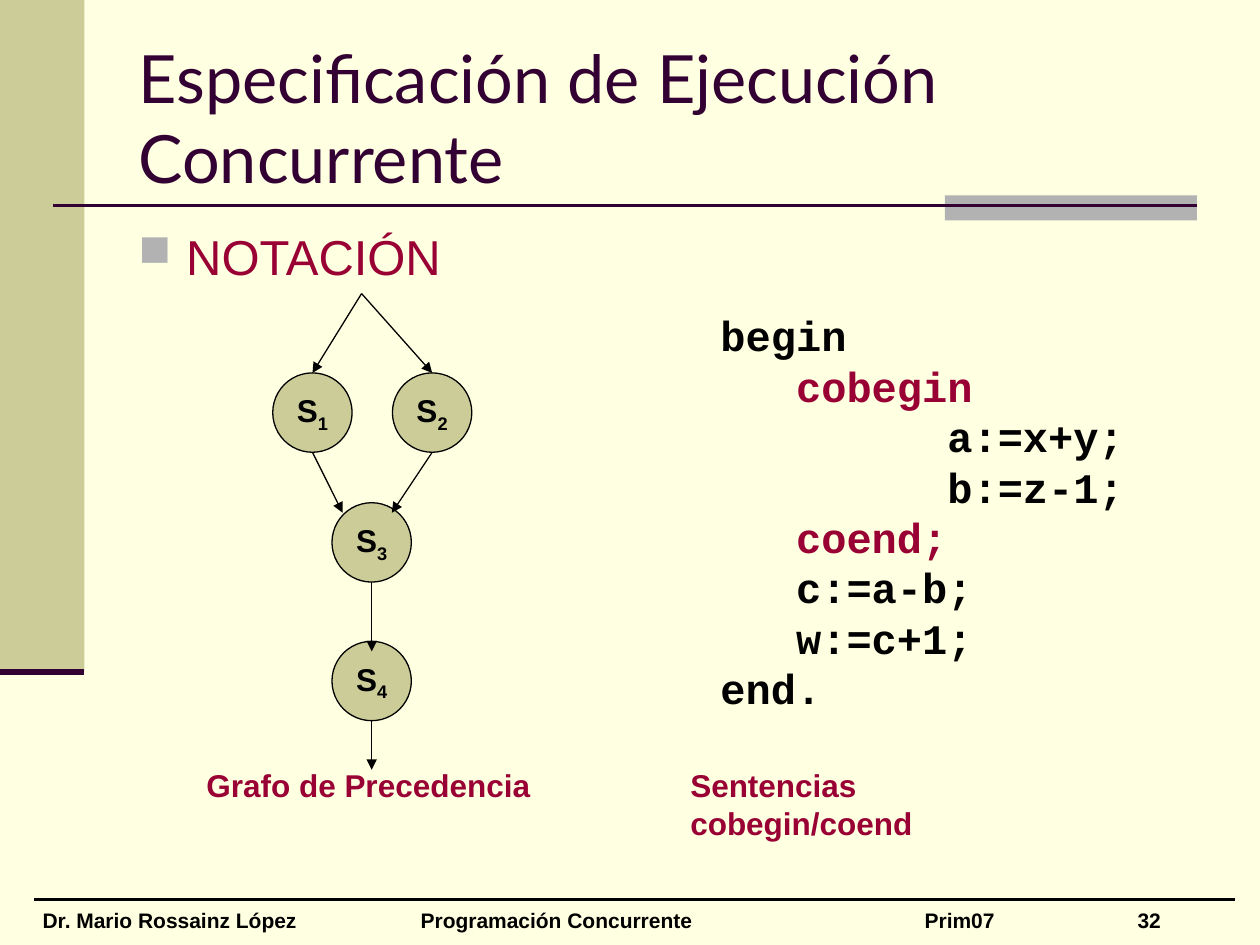
from dataclasses import dataclass

from lxml.etree import SubElement
from pptx import Presentation
from pptx.dml.color import RGBColor
from pptx.enum.shapes import MSO_CONNECTOR, MSO_SHAPE
from pptx.enum.text import MSO_ANCHOR, PP_ALIGN
from pptx.oxml.ns import qn
from pptx.util import Inches, Pt


@dataclass(frozen=True)
class Theme:
    paper: RGBColor = RGBColor.from_string("FFFFE1")
    olive: RGBColor = RGBColor.from_string("CCCC99")
    gray: RGBColor = RGBColor.from_string("B2B2B2")
    plum: RGBColor = RGBColor.from_string("330033")
    crimson: RGBColor = RGBColor.from_string("990033")
    ink: RGBColor = RGBColor.from_string("000000")
    title: int = 38
    topic: int = 28
    code: int = 24
    label: int = 18
    footer: int = 12


THEME = Theme()

prs = Presentation()
prs.slide_width, prs.slide_height = Inches(10), Inches(7.5)
slide = prs.slides.add_slide(prs.slide_layouts[6])
slide.background.fill.solid()
slide.background.fill.fore_color.rgb = THEME.paper


def add_line(start, end, color, width, arrow=False):
    line = slide.shapes.add_connector(
        MSO_CONNECTOR.STRAIGHT, *(Inches(v) for v in (*start, *end)))
    line.line.color.rgb = color
    line.line.width = Pt(width)
    if arrow:
        SubElement(line.line._get_or_add_ln(), qn("a:tailEnd"), type="triangle")
    SubElement(line._element.spPr, qn("a:effectLst"))


def add_text(box, content, size, color, font="Arial", bold=True, wrap=False):
    """Add a text box; content is a list of lines, each a list of (text, color) or texts."""
    frame = slide.shapes.add_textbox(*(Inches(v) for v in box)).text_frame
    frame.word_wrap = wrap
    for index, pieces in enumerate(content):
        paragraph = frame.paragraphs[0] if index == 0 else frame.add_paragraph()
        for piece in pieces:
            text, piece_color = piece if isinstance(piece, tuple) else (piece, color)
            run = paragraph.add_run()
            run.text = text
            run.font.name = font
            run.font.size = Pt(size)
            run.font.bold = bold
            run.font.color.rgb = piece_color
    return frame


# Side band, title accent and rules
for box, color in (((0, 0, 0.67, 5.33), THEME.olive), ((7.5, 1.55, 2, 0.2), THEME.gray)):
    block = slide.shapes.add_shape(MSO_SHAPE.RECTANGLE, *(Inches(v) for v in box))
    block.shadow.inherit = False
    block.fill.solid()
    block.fill.fore_color.rgb = color
    block.line.fill.background()
add_line((0.42, 1.63), (9.5, 1.63), THEME.plum, 1.5)
add_line((0, 5.33), (0.67, 5.33), THEME.plum, 3.5)

# Footer
footer = add_text(
    (0.24, 7.15, 9.7, 0.3),
    [["Dr. Mario Rossainz López\tProgramación Concurrente\tPrim07\t32"]],
    THEME.footer, THEME.ink)
footer_tabs = SubElement(footer.paragraphs[0]._p.get_or_add_pPr(), qn("a:tabLst"))
for stop in (3, 7, 8.69):
    SubElement(footer_tabs, qn("a:tab"), pos=str(Inches(stop)), algn="l")
add_line((0.27, 7.14), (9.8, 7.14), THEME.ink, 1.5)

# Title and topic
title = add_text((1, 0.3, 8.5, 1.25), [["Especificación de Ejecución Concurrente"]],
                 THEME.title, THEME.plum, font="Lato", bold=False, wrap=True)
title.vertical_anchor = MSO_ANCHOR.MIDDLE

topic = add_text((1, 1.75, 8.5, 4.95), [["NOTACIÓN"]],
                 THEME.topic, THEME.crimson, bold=False, wrap=True)
topic_format = topic.paragraphs[0]._p.get_or_add_pPr()
topic_format.set("marL", str(Inches(0.38)))
topic_format.set("indent", str(-Inches(0.38)))
bullet_color = SubElement(topic_format, qn("a:buClr"))
SubElement(bullet_color, qn("a:srgbClr"), val=str(THEME.gray))
SubElement(topic_format, qn("a:buSzPct"), val="90000")
SubElement(topic_format, qn("a:buChar"), char="■")

# Precedence graph
DIAMETER = 0.63
left_x, middle_x, right_x = 2.48, 2.95, 3.43
fork_y, s3_top, s4_top = 2.96, 3.99, 5.09
nodes = ((left_x, fork_y), (right_x, fork_y), (middle_x, s3_top), (middle_x, s4_top))
for number, (center_x, top) in enumerate(nodes, start=1):
    node = slide.shapes.add_shape(
        MSO_SHAPE.OVAL, Inches(center_x - DIAMETER / 2), Inches(top),
        Inches(DIAMETER), Inches(DIAMETER))
    node.shadow.inherit = False
    node.fill.solid()
    node.fill.fore_color.rgb = THEME.olive
    node.line.color.rgb = THEME.ink
    node.line.width = Pt(0.75)
    node.text_frame.word_wrap = False
    node.text_frame.vertical_anchor = MSO_ANCHOR.MIDDLE
    name = node.text_frame.paragraphs[0]
    name.alignment = PP_ALIGN.CENTER
    for text in ("S", str(number)):
        run = name.add_run()
        run.text = text
        run.font.name = "Arial"
        run.font.size = Pt(THEME.label)
        run.font.bold = True
        run.font.color.rgb = THEME.ink
    run.font._element.set("baseline", "-25000")

source = (2.87, 2.33)
join_y = s3_top + 0.08
arrows = (
    ((left_x, fork_y + DIAMETER), (2.72, join_y)),
    ((right_x, fork_y + DIAMETER), (3.11, join_y)),
    ((middle_x, s3_top + DIAMETER), (middle_x, s4_top + 0.08)),
    ((middle_x, s4_top + DIAMETER), (middle_x, 6.11)),
    (source, (left_x, fork_y)),
    (source, (right_x, fork_y)),
)
for start, end in arrows:
    add_line(start, end, THEME.ink, 0.75, arrow=True)

# Program
program = [
    ["begin"],
    ["   ", ("cobegin", THEME.crimson)],
    ["         a:=x+y;"],
    ["         b:=z-1;"],
    ["   ", ("coend;", THEME.crimson)],
    ["   c:=a-b;"],
    ["   w:=c+1;"],
    ["end."],
]
add_text((5.62, 2.41, 3.4, 3.3), program, THEME.code, THEME.ink, font="Courier New")

# Captions
for left, width, caption in ((1.54, 2.77, "Grafo de Precedencia"),
                             (5.38, 3.35, "Sentencias cobegin/coend")):
    add_text((left, 6.03, width, 0.4), [[caption]], THEME.label, THEME.crimson)

prs.save("out.pptx")
